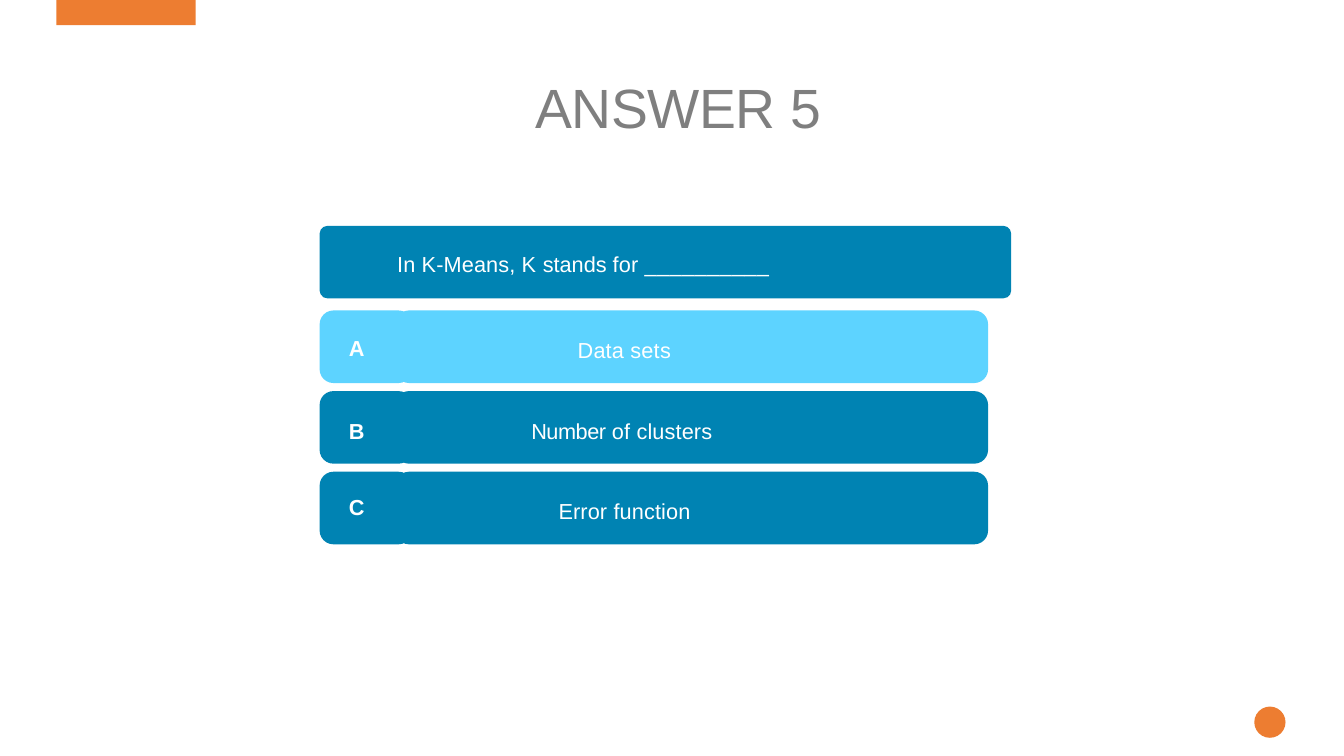
import dataclasses
import typing

import pptx
import pptx.dml.color
import pptx.enum.shapes
import pptx.enum.text
import pptx.util

Inches = pptx.util.Inches
Kind = pptx.enum.shapes.MSO_SHAPE

COLORS = {
    "orange": "ED7D31",
    "gray": "7F7F7F",
    "white": "FFFFFF",
    "blue": "0083B3",
    "light": "5DD3FF",
}


@dataclasses.dataclass(frozen=True)
class Run:
    text: str
    space: float


@dataclasses.dataclass(frozen=True)
class Box:
    left: float
    top: float
    width: float
    height: float


@dataclasses.dataclass(frozen=True)
class Answer:
    letter: str
    drop: float
    color: str
    left: float
    width: float
    runs: list[Run]


ASK = [
    Run("In K-Means, K ", 0.1),
    Run("stands ", 0),
    Run("for ", 0.1),
    Run("__________", 0.3),
]
ANSWERS = [
    Answer("A", 0.20, "light", 5.72, 1.25, [Run("Data ", 0.1), Run("sets", 0.2)]),
    Answer("B", 0.22, "blue", 5.26, 2.43,
           [Run("Number ", -0.3), Run("of", 0.2), Run(" clusters", 0.1)]),
    Answer("C", 0.18, "blue", 5.53, 1.74, [Run("Error function", 0.1)]),
]
LEFT = 3.17
FIRST = 3.08
PITCH = 0.8
HIGH = 0.72
LINE = 0.28


def rgb(name: str) -> pptx.dml.color.RGBColor:
    return pptx.dml.color.RGBColor.from_string(COLORS[name])


def place(box: Box) -> list[int]:
    return [Inches(side) for side in dataclasses.astuple(box)]


def draw(slide: typing.Any, kind: Kind, box: Box, color: str,
         round_by: float | None = None) -> None:
    shape = slide.shapes.add_shape(kind, *place(box))
    shape.shadow.inherit = False
    shape.fill.solid()
    shape.fill.fore_color.rgb = rgb(color)
    shape.line.fill.background()
    if round_by is not None:
        shape.adjustments[0] = round_by


def write(frame: typing.Any, runs: list[Run], size: float, color: str,
          bold: bool = False) -> None:
    frame.word_wrap = True
    frame.vertical_anchor = pptx.enum.text.MSO_ANCHOR.TOP
    line = frame.paragraphs[0]
    line.alignment = pptx.enum.text.PP_ALIGN.LEFT
    line.space_before = pptx.util.Pt(0)
    line.line_spacing = 1.0
    props = line._p.get_or_add_pPr()
    props.set("marL", str(Inches(0.01)))
    props.set("indent", "0")
    for part in runs:
        run = line.add_run()
        run.text = part.text
        run.font.name = "Arial"
        run.font.size = pptx.util.Pt(size)
        run.font.bold = bold
        run.font.color.rgb = rgb(color)
        run._r.get_or_add_rPr().set("spc", str(round(part.space * 100)))


def label(slide: typing.Any, box: Box, runs: list[Run], bold: bool = False) -> None:
    frame = slide.shapes.add_textbox(*place(box)).text_frame
    frame.margin_left = frame.margin_right = frame.margin_bottom = 0
    frame.margin_top = Inches(0.04)
    write(frame, runs, 15.5, "white", bold)


def head(slide: typing.Any) -> None:
    title = slide.shapes.title
    title.left, title.top, title.width, title.height = place(Box(5.2, 0.62, 3.07, 0.77))
    frame = title.text_frame
    frame.auto_size = pptx.enum.text.MSO_AUTO_SIZE.NONE
    frame.margin_left = Inches(0.1)
    frame.margin_top = Inches(0.11)
    frame.margin_right = frame.margin_bottom = 0
    write(frame, [Run("ANSWER 5", -0.3)], 39.5, "gray")


def option(slide: typing.Any, top: float, item: Answer) -> None:
    for left, width in ((LEFT, 0.92), (3.92, 5.88)):
        draw(slide, Kind.ROUNDED_RECTANGLE, Box(left, top, width, HIGH), item.color, 0.19)
    label(slide, Box(item.left, top + 0.22, item.width, LINE), item.runs)
    spot = top + item.drop
    draw(slide, Kind.RECTANGLE, Box(3.28, spot - 0.04, 0.65, 0.37), item.color)
    label(slide, Box(3.45, spot, 0.24, LINE), [Run(item.letter, 0.1)], True)


def main() -> None:
    deck = pptx.Presentation()
    deck.slide_width = Inches(13.33)
    deck.slide_height = Inches(7.5)
    slide = deck.slides.add_slide(deck.slide_layouts[5])
    draw(slide, Kind.RECTANGLE, Box(0.56, -0.02, 1.38, 0.27), "orange")
    draw(slide, Kind.OVAL, Box(12.44, 7.01, 0.31, 0.31), "orange")
    head(slide)
    draw(slide, Kind.ROUNDED_RECTANGLE, Box(LEFT, 2.24, 6.86, HIGH), "blue", 0.11)
    label(slide, Box(3.93, 2.45, 4.88, LINE), ASK)
    for row, item in enumerate(ANSWERS):
        option(slide, FIRST + row * PITCH, item)
    deck.save("out.pptx")


if __name__ == "__main__":
    main()
